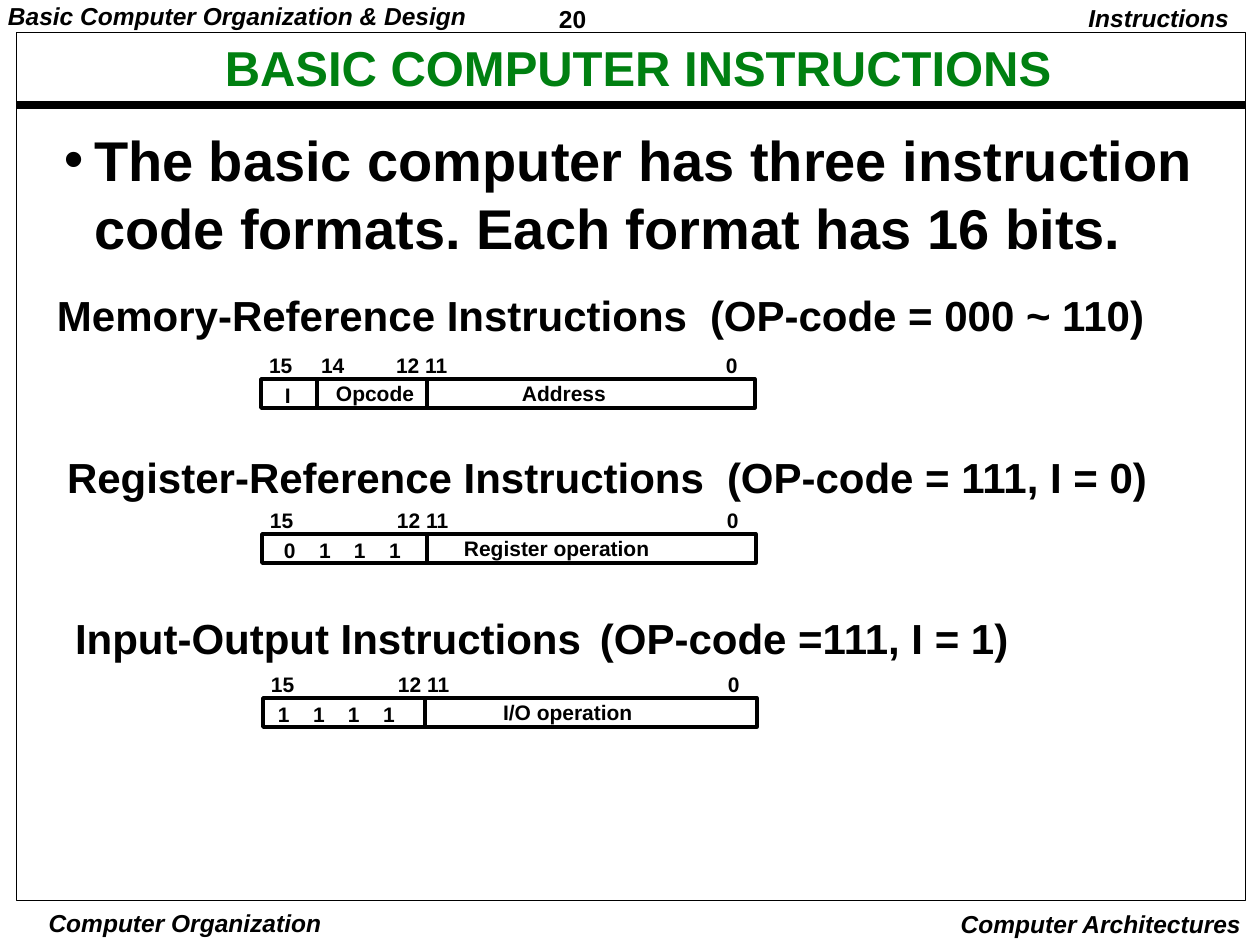
from lxml.etree import SubElement
from pptx import Presentation
from pptx.dml.color import RGBColor
from pptx.enum.shapes import MSO_CONNECTOR, MSO_SHAPE
from pptx.enum.text import MSO_ANCHOR, PP_ALIGN
from pptx.oxml.ns import qn
from pptx.util import Emu, Pt

BLACK = RGBColor(0x00, 0x00, 0x00)
GREEN = RGBColor(0x00, 0x80, 0x11)
FONT = "Arial"


def px(n):
    return Emu(round(n * 914400 / 126))


def style(frame, words, size, color=BLACK, italic=False, align=PP_ALIGN.LEFT,
          gap=0.9, pad=(13, 6)):
    """Fill a text frame with one bold paragraph and return it."""
    frame.word_wrap = True
    frame.vertical_anchor = MSO_ANCHOR.TOP
    frame.margin_left = frame.margin_right = px(pad[0])
    frame.margin_top = frame.margin_bottom = px(pad[1])
    para = frame.paragraphs[0]
    para.text = words
    para.alignment, para.line_spacing = align, gap
    font = para.font
    font.name, font.size, font.bold, font.italic = FONT, Pt(size), True, italic
    font.color.rgb = color
    return para


def add_text(slide, box, words, size, **look):
    shape = slide.shapes.add_textbox(*map(px, box))
    return style(shape.text_frame, words, size, **look)


def set_tabs(para, stops):
    tabs = SubElement(para._p.get_or_add_pPr(), qn("a:tabLst"))
    for stop in stops:
        SubElement(tabs, qn("a:tab"), pos=str(px(stop)), algn="l")


def add_rect(slide, box, width):
    rect = slide.shapes.add_shape(MSO_SHAPE.RECTANGLE, *map(px, box))
    rect.shadow.inherit = False
    rect.fill.background()
    rect.line.color.rgb, rect.line.width = BLACK, Pt(width)


def add_line(slide, ends, width):
    line = slide.shapes.add_connector(MSO_CONNECTOR.STRAIGHT, *map(px, ends))
    line.line.color.rgb, line.line.width = BLACK, Pt(width)
    SubElement(line._element.spPr, qn("a:effectLst"))


def add_frame(slide, left, top, width, height):
    """Page frame, title rule, running heads and feet."""
    right, foot = left + width, top + height
    add_line(slide, (left, top + 72, right, top + 72), 4.5)
    add_rect(slide, (left, top, width, height), 0.5)
    add_text(slide, (left - 17, 0, 480, 34), "Basic Computer Organization & Design",
             14, italic=True, pad=(9, 4))
    add_text(slide, (left + 534, 0, 136, 36), "20", 14, gap=1.01, pad=(9, 4))
    add_text(slide, (right - 173, 0, 170, 39), "Instructions", 14,
             italic=True, align=PP_ALIGN.RIGHT)
    add_text(slide, (left + 28, foot + 6, 282, 33), "Computer Organization", 14,
             italic=True, align=PP_ALIGN.CENTER, gap=1.0, pad=(3, 1))
    add_text(slide, (right - 312, foot + 2, 321, 42), "Computer Architectures", 14,
             italic=True, align=PP_ALIGN.RIGHT, gap=1.0)


def add_lead(slide, box):
    """Bulleted opening statement with a hanging indent."""
    para = add_text(slide, box, "The basic computer has three instruction "
                    "code formats. Each format has 16 bits.", 32,
                    gap=1.02, pad=(9, 4))
    props = para._p.get_or_add_pPr()
    props.set("marL", str(px(30)))
    props.set("indent", str(-px(30)))
    SubElement(props, qn("a:buFont"), typeface=FONT)
    SubElement(props, qn("a:buChar"), char="•")


def add_head(slide, left, top, name, code, stop):
    para = add_text(slide, (left, top, 1190, 58), f"{name}\t{code}", 24)
    set_tabs(para, [stop])


def add_word(slide, left, top, cuts, marks, parts):
    """16-bit word: cuts are dividers; marks and parts are (x, width, text, tabs)."""
    wide, high = 494, 29
    add_rect(slide, (left, top, wide, high), 2)
    for cut in cuts:
        add_line(slide, (left + cut, top, left + cut, top + high), 2)
    rows = ((-30, marks), (-2, parts))
    for drop, row in rows:
        for x, width, words, stops in row:
            nudge = 2 if words == "I" or "\t" in words and drop > -30 else 0
            para = add_text(slide, (left + x, top + drop + nudge, width, 35), words, 12)
            if stops:
                set_tabs(para, stops)


def main():
    deck = Presentation()
    deck.slide_width, deck.slide_height = px(1260), px(945)
    slide = deck.slides.add_slide(deck.slide_layouts[5])
    add_frame(slide, 16, 33, 1229, 868)

    # Title
    title = slide.shapes.title
    title.left, title.top, title.width, title.height = map(px, (209, 42, 858, 58))
    style(title.text_frame, "BASIC COMPUTER INSTRUCTIONS", 28, color=GREEN,
          align=PP_ALIGN.CENTER, gap=0.87, pad=(9, 4))

    add_lead(slide, (55, 120, 1153, 144))

    # Instruction formats
    ends = [(129 - 7, 84, "12 11", None), (452, 40, "0", None)]
    bits = (35, 70, 105)
    first = [(-5, 110, "15\t14", (52,))] + ends
    rest = [(-5, 60, "15", None)] + ends
    formats = [
        (44, 289, "Memory-Reference Instructions", "(OP-code = 000 ~ 110)", 653,
         261, 379, (56, 166), first,
         [(11, 36, "I", None), (62, 110, "Opcode", None), (248, 116, "Address", None)]),
        (54, 451, "Register-Reference Instructions", "(OP-code = 111, I = 0)", 660,
         262, 534, (165,), rest,
         [(9, 148, "0\t1\t1\t1", bits), (189, 216, "Register operation", None)]),
        (62, 612, "Input-Output Instructions", "(OP-code =111, I = 1)", 525,
         263, 698, (162,), rest,
         [(2, 148, "1\t1\t1\t1", bits), (227, 160, "I/O operation", None)]),
    ]
    for x, y, name, code, stop, left, top, cuts, marks, parts in formats:
        add_head(slide, x, y, name, code, stop)
        add_word(slide, left, top, cuts, marks, parts)

    deck.save("out.pptx")


if __name__ == "__main__":
    main()
